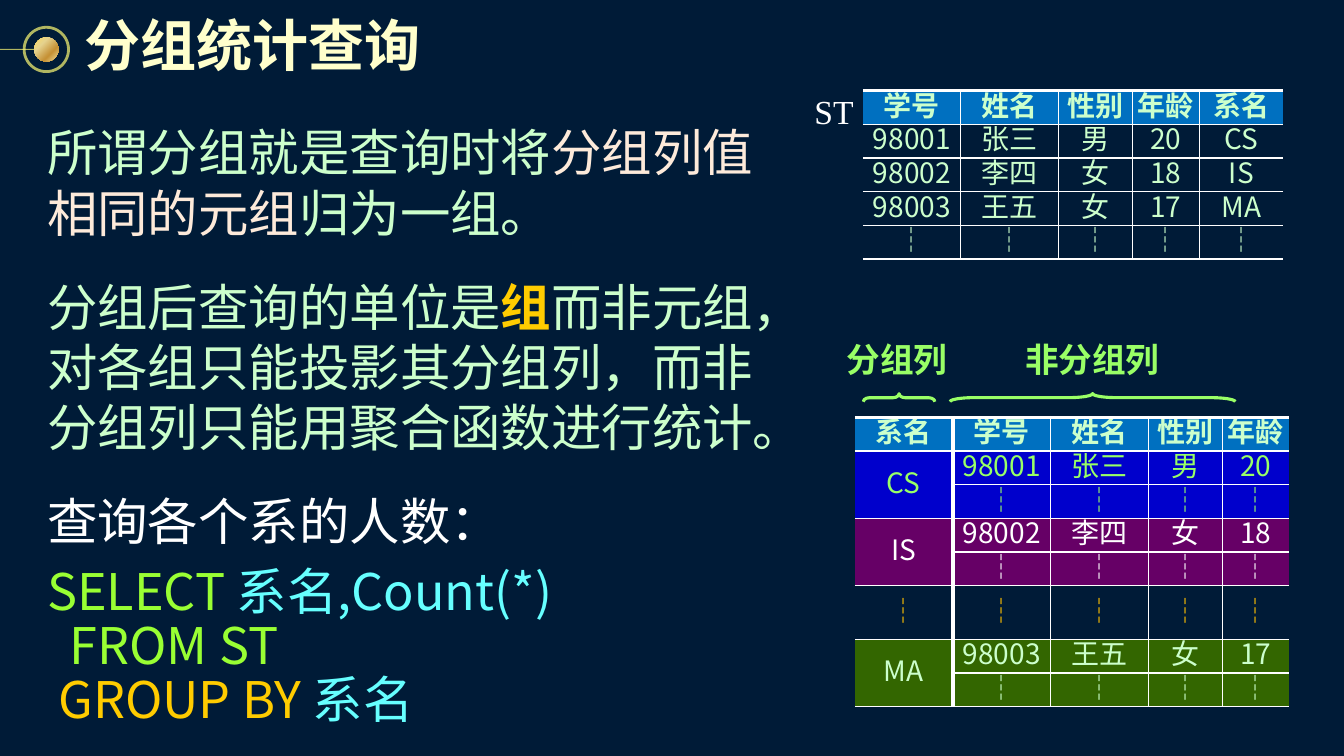
"""Build the slide on grouped queries with its two tables and braces."""
from dataclasses import dataclass
from itertools import accumulate
from typing import Any, Optional

from lxml.etree import SubElement
from pptx import Presentation
from pptx.dml.color import RGBColor as RGB
from pptx.enum.shapes import MSO_CONNECTOR as CONN, MSO_SHAPE as SHAPE
from pptx.enum.text import MSO_ANCHOR as ANCHOR, PP_ALIGN as ALIGN
from pptx.oxml import parse_xml
from pptx.oxml.ns import nsdecls, qn
from pptx.util import Inches, Pt

W, H = Inches(13.33), Inches(7.5)
CJK = "Noto Sans CJK SC"
C = {
    "night": "001B37", "cream": "FFFFCC", "white": "FFFFFF", "mint": "CCFFCC",
    "peach": "FDEADA", "amber": "FFCC00", "lime": "99FF33", "cyan": "66FFFF",
    "leaf": "99FF66", "gold": "FFC000", "header": "0070C0", "blue": "0000CC",
    "purple": "660066", "green": "336600", "ring": "FCF873",
}
BEAD_STOPS = ((0, "FCD860"), (31, "E6D38F"), (68, "C69135"), (100, "F1DF97"))
DOTS = "┆"


@dataclass
class Box:
    """Place and size in percent of the slide."""
    x: float
    y: float
    w: float
    h: float

    def emu(self) -> tuple[int, int, int, int]:
        """Return left, top, width and height in EMU."""
        return (int(W * self.x / 100), int(H * self.y / 100),
                int(W * self.w / 100), int(H * self.h / 100))


@dataclass
class Run:
    """A piece of text with one format."""
    text: str
    color: str = "mint"
    size: float = 36
    bold: bool = False
    font: str = CJK


@dataclass
class Para:
    """Runs of one paragraph with its format values."""
    runs: list[Run]
    fmt: dict[str, Any]


@dataclass
class Row:
    """One table row; an empty first cell joins the cell above."""
    cells: tuple[str, ...]
    fill: Optional[str] = None
    color: str = "mint"
    bold: bool = False
    middle: bool = False
    share: float = 1


@dataclass
class Grid:
    """A table with column shares and rule widths."""
    box: Box
    cols: tuple[float, ...]
    rows: list[Row]
    first_rule: float
    bottom_rule: float


def apply(target: Any, fmt: dict[str, Any]) -> None:
    """Set every format value on the target."""
    for name, value in fmt.items():
        setattr(target, name, value)


def add_run(p: Any, run: Run) -> Any:
    """Append a formatted run to a paragraph."""
    r = p.add_run()
    r.text = run.text
    apply(r.font, {"size": Pt(run.size), "bold": run.bold, "name": run.font})
    r.font.color.rgb = RGB.from_string(C[run.color])
    SubElement(r.font._element, qn("a:ea")).set("typeface", CJK)
    return r


def add_text(s: Any, box: Box, paras: list[Para], inset: tuple[float, float],
             wrap: bool = False, anchor: Any = ANCHOR.TOP) -> Any:
    """Draw a text box and return its frame."""
    tf = s.shapes.add_textbox(*box.emu()).text_frame
    side, top = (Inches(v) for v in inset)
    apply(tf, {"word_wrap": wrap, "vertical_anchor": anchor, "margin_left": side,
               "margin_right": side, "margin_top": top, "margin_bottom": top})
    for i, para in enumerate(paras):
        p = tf.add_paragraph() if i else tf.paragraphs[0]
        apply(p, para.fmt)
        for run in para.runs:
            add_run(p, run)
    return tf


def set_rules(cell: Any, widths: dict[str, float]) -> None:
    """Give a cell its four borders; zero means none."""
    for side, width in widths.items():
        paint = (f'<a:solidFill><a:srgbClr val="{C["white"]}"/></a:solidFill>'
                 if width else "<a:noFill/>")
        cell._tc.get_or_add_tcPr().append(parse_xml(
            f'<a:ln{side} {nsdecls("a")} w="{Pt(width)}">{paint}</a:ln{side}>'))


def add_grid(s: Any, grid: Grid) -> None:
    """Draw a table."""
    n, m = len(grid.rows), len(grid.cols)
    x, y, w, h = grid.box.emu()
    table = s.shapes.add_table(n, m, x, y, w, h).table
    apply(table, {"first_row": False, "horz_banding": False})
    for col, share in zip(table.columns, grid.cols):
        col.width = int(w * share / sum(grid.cols))
    total = sum(row.share for row in grid.rows)
    for i, row in enumerate(grid.rows):
        table.rows[i].height = int(h * row.share / total)
        for j, text in enumerate(row.cells):
            cell = table.cell(i, j)
            joins = i + 1 < n and not grid.rows[i + 1].cells[j]
            rules = (0, *[grid.first_rule if k == 0 else 1 for k in range(m - 1)], 0)
            set_rules(cell, {
                "L": rules[j], "R": rules[j + 1],
                "T": 2.25 if i == 0 else 1 if text else 0,
                "B": grid.bottom_rule if i == n - 1 else 1})
            if row.fill:
                cell.fill.solid()
                cell.fill.fore_color.rgb = RGB.from_string(C[row.fill])
            else:
                cell.fill.background()
            apply(cell, {f"margin_{side}": 0 for side in ("left", "right", "top", "bottom")})
            cell.vertical_anchor = ANCHOR.MIDDLE if joins or row.middle else ANCHOR.TOP
            if text:
                p = cell.text_frame.paragraphs[0]
                apply(p, {"alignment": ALIGN.CENTER, "line_spacing": Pt(24)})
                add_run(p, Run(text, row.color, 20, row.bold))
            if joins:
                cell.merge(table.cell(i + 1, j))


def set_line(line: Any, color: str, width: float, alpha: int = 100) -> None:
    """Colour a line and set its width and opacity."""
    line.color.rgb = RGB.from_string(C[color])
    line.width = Pt(width)
    clr = line._ln.find(".//" + qn("a:srgbClr"))
    SubElement(clr, qn("a:alpha")).set("val", str(alpha * 1000))


def add_outline(s: Any, kind: Any, box: Box, color: str, width: float, alpha: int = 100) -> Any:
    """Draw an unfilled preset shape turned by 270 degrees."""
    sp = s.shapes.add_shape(kind, *box.emu())
    sp.shadow.inherit = False
    sp.rotation = 270
    sp.fill.background()
    set_line(sp.line, color, width, alpha)
    return sp


def add_ornament(s: Any) -> None:
    """Draw the ring, line and bead beside the title."""
    add_outline(s, SHAPE.OVAL, Box(1.8, 3.6, 3.3, 5.87), "ring", 2, 70)
    y = int(H * 0.0653)
    cx = s.shapes.add_connector(CONN.STRAIGHT, 0, y, int(W * 0.0255), y)
    set_line(cx.line, "ring", 0.75, 70)
    SubElement(cx._element.spPr, qn("a:effectLst"))
    bead = add_outline(s, SHAPE.OVAL, Box(2.55, 4.93, 1.8, 3.2), "ring", 1)
    bead.line.fill.background()
    stops = "".join(f'<a:gs pos="{pos * 1000}"><a:srgbClr val="{rgb}"/></a:gs>'
                    for pos, rgb in BEAD_STOPS)
    no_fill = bead._element.spPr.find(qn("a:noFill"))
    bead._element.spPr.replace(no_fill, parse_xml(
        f'<a:gradFill {nsdecls("a")} rotWithShape="1"><a:gsLst>{stops}</a:gsLst>'
        '<a:lin ang="8100000" scaled="0"/></a:gradFill>'))


def add_title(s: Any) -> None:
    """Draw the title with its shadow."""
    tf = add_text(s, Box(5.7, 0.27, 26.4, 11.07),
                  [Para([Run("分组统计查询", "cream", 40, True)], {})],
                  (0.08, 0.08), anchor=ANCHOR.MIDDLE)
    fill = tf.paragraphs[0].runs[0].font._element.find(qn("a:solidFill"))
    fill.addnext(parse_xml(
        f'<a:effectLst {nsdecls("a")}><a:outerShdw dist="38100" dir="2700000">'
        '<a:srgbClr val="000000"/></a:outerShdw></a:effectLst>'))


def build() -> None:
    """Assemble and save the slide."""
    prs = Presentation()
    apply(prs, {"slide_width": W, "slide_height": H})
    s = prs.slides.add_slide(prs.slide_layouts[6])
    s.background.fill.solid()
    s.background.fill.fore_color.rgb = RGB.from_string(C["night"])
    add_ornament(s)
    add_title(s)
    prose = {"line_spacing": Pt(43)}
    spaced = {**prose, "space_before": Pt(24)}
    code = {"line_spacing": Pt(38.5), "alignment": ALIGN.JUSTIFY}
    add_text(s, Box(2.77, 15.47, 55.5, 75.33), [
        Para([Run("所谓分组就是查询时将"), Run("分组列值相同的元组", "peach"), Run("归为一组。")], prose),
        Para([Run("分组后查询的单位是"), Run("组", "amber", bold=True),
              Run("而非元组，对各组只能投影其分组列，而非分组列只能用聚合函数进行统计。")], spaced),
        Para([Run("查询各个系的人数：", "white")], spaced),
        Para([Run("SELECT ", "lime"), Run("系名,Count(*)", "cyan")], {**code, "space_before": Pt(12)}),
        Para([Run("  FROM ST", "lime")], code),
        Para([Run(" GROUP BY ", "amber"), Run("系名", "cyan")], code),
    ], (0.1, 0.05), wrap=True)
    add_text(s, Box(60.6, 12, 2.93, 5.33),
             [Para([Run("ST", "white", 24, font="Times New Roman")], {})], (0, 0))
    dots = (DOTS,) * 5
    add_grid(s, Grid(Box(64.2, 12, 31.28, 22.27), (0.97, 0.97, 0.73, 0.66, 0.83), [
        Row(("学号", "姓名", "性别", "年龄", "系名"), "header", bold=True),
        Row(("98001", "张三", "男", "20", "CS")),
        Row(("98002", "李四", "女", "18", "IS")),
        Row(("98003", "王五", "女", "17", "MA")),
        Row(dots)], 1, 2.25))
    more = ("", *dots[1:])
    add_grid(s, Grid(Box(63.6, 55.2, 32.32, 38.27), (0.97, 0.97, 0.97, 0.73, 0.66), [
        Row(("系名", "学号", "姓名", "性别", "年龄"), "header", bold=True),
        Row(("CS", "98001", "张三", "男", "20"), "blue", "leaf"),
        Row(more, "blue", "leaf"),
        Row(("IS", "98002", "李四", "女", "18"), "purple", "white"),
        Row(more, "purple", "white"),
        Row(dots, None, "gold", True, True, 1.6),
        Row(("MA", "98003", "王五", "女", "17"), "green"),
        Row(more, "green")], 3, 1))
    for label, x, w, brace, curl in (
            ("分组列", 62.4, 8.78, Box(66.6, 47.87, 0.6, 9.47), 0.76),
            ("非分组列", 75.68, 11.33, Box(81, 33.73, 0.6, 37.73), 3.02)):
        add_text(s, Box(x, 43.73, w, 7.47),
                 [Para([Run(label, "leaf", 24, True, "Karla")], {})], (0.08, 0.08))
        sp = add_outline(s, SHAPE.RIGHT_BRACE, brace, "leaf", 2.25)
        sp.adjustments[0] = curl
    prs.save("out.pptx")


if __name__ == "__main__":
    build()
